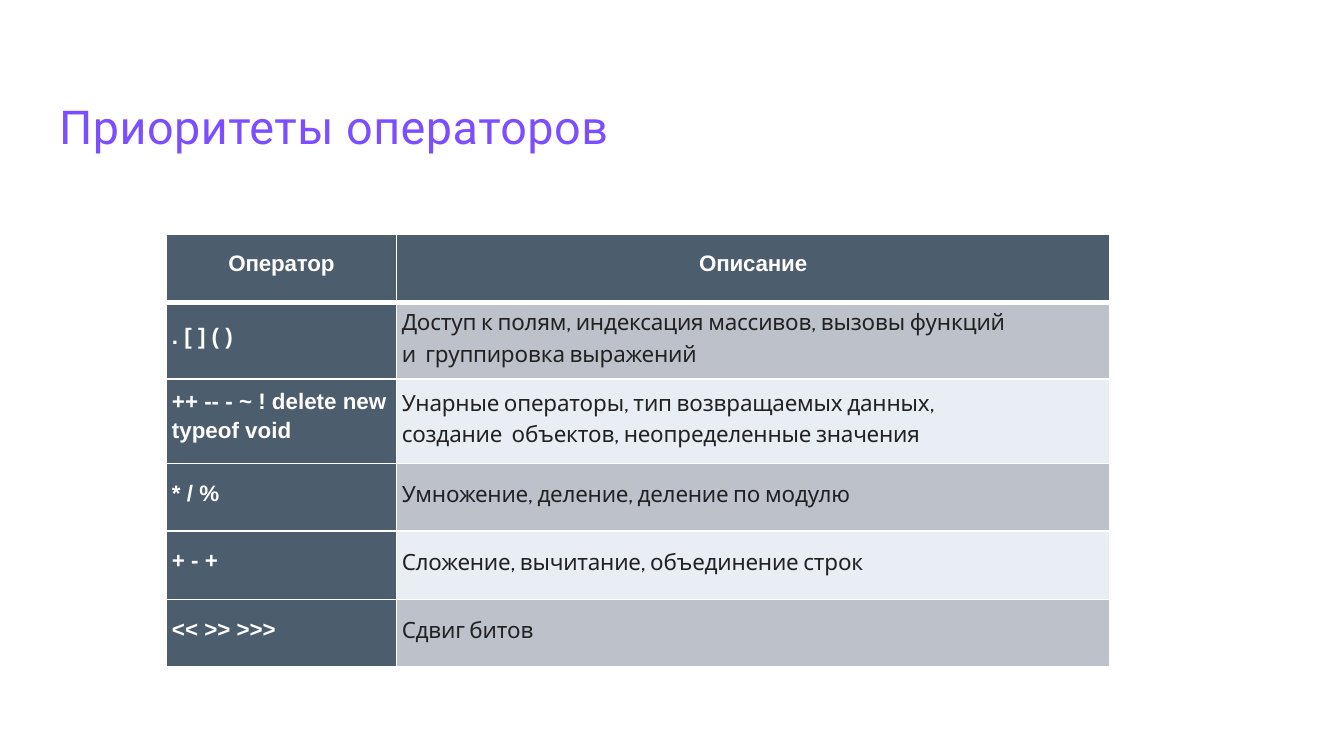
from lxml.etree import SubElement
from pptx import Presentation
from pptx.dml.color import RGBColor
from pptx.enum.text import MSO_ANCHOR, PP_ALIGN
from pptx.oxml.ns import qn
from pptx.util import Inches, Pt

PURPLE = RGBColor(0x7B, 0x4E, 0xFF)
SLATE = RGBColor(0x4C, 0x5D, 0x6E)
GREY = RGBColor(0xBD, 0xC1, 0xCA)
PALE = RGBColor(0xE9, 0xED, 0xF4)
INK = RGBColor(0x22, 0x22, 0x22)
WHITE = RGBColor(0xFF, 0xFF, 0xFF)

TITLE = "Приоритеты операторов"
HEADER = ("Оператор", "Описание")
OPERATORS = [
    (". [ ] ( )", "Доступ к полям, индексация массивов, вызовы функций и  группировка выражений"),
    ("++ -- - ~ ! delete new  typeof void",
     "Унарные операторы, тип возвращаемых данных, создание  объектов, неопределенные значения"),
    ("* / %", "Умножение, деление, деление по модулю"),
    ("+ - +", "Сложение, вычитание, объединение строк"),
    ("<< >> >>>", "Сдвиг битов"),
]
COL_WIDTHS = (0.62, 1.71, 5.31)
ROW_HEIGHTS = (0.51, 0.57, 0.63, 0.5, 0.51, 0.5, 0.65)
TOP_INSETS = [(0.13, 0.13), (0.16, 0.02), (0.05, 0.05)] + [(0.13, 0.13)] * 3
WRAP_INSET = 0.73

TITLE_FONT = {"name": "Roboto", "size": Pt(25), "bold": False}
BOLD_FONT = {"name": "Arial", "size": Pt(12), "bold": True}
TEXT_FONT = {"name": "Cabin", "size": Pt(12), "bold": False}


def write(tf, text, font, color, align, spacing, line=1.0):
    """Write one formatted paragraph with letter spacing in points."""
    p = tf.paragraphs[0]
    p.alignment, p.line_spacing = align, line
    r = p.add_run()
    r.text = text
    for name, value in font.items():
        setattr(r.font, name, value)
    r.font.color.rgb = color
    r.font._element.set("spc", str(round(spacing * 100)))


def add_borders(cell, top, bottom):
    """Draw white cell borders, with top and bottom widths in points."""
    tc_pr = cell._tc.get_or_add_tcPr()
    for i, (side, width) in enumerate((("L", 1), ("R", 1), ("T", top), ("B", bottom))):
        ln = SubElement(tc_pr, qn(f"a:ln{side}"), w=str(Pt(width)))
        fill = SubElement(ln, qn("a:solidFill"))
        SubElement(fill, qn("a:srgbClr"), val=str(WHITE))
        tc_pr.insert(i, ln)


def set_insets(cell, left=0, top=0, right=0):
    """Set cell insets in inches."""
    cell.margin_left, cell.margin_top = Inches(left), Inches(top)
    cell.margin_right, cell.margin_bottom = Inches(right), 0


def add_title(s):
    """Place and format the title."""
    sp = s.shapes.title
    sp.left, sp.top, sp.width, sp.height = map(Inches, (0.42, 0.72, 9.09, 1.47))
    tf = sp.text_frame
    tf.margin_right = tf.margin_bottom = 0
    tf.margin_left, tf.margin_top = Inches(0.02), Inches(0.01)
    tf.vertical_anchor, tf.word_wrap = MSO_ANCHOR.TOP, True
    write(tf, TITLE, TITLE_FONT, PURPLE, PP_ALIGN.LEFT, 0.3)


def add_operators(s):
    """Add the operator table with its blank left and bottom margins."""
    rows, cols = len(ROW_HEIGHTS), len(COL_WIDTHS)
    box = map(Inches, (0.62, 1.74, sum(COL_WIDTHS), sum(ROW_HEIGHTS)))
    table = s.shapes.add_table(rows, cols, *box).table
    table.first_row = table.horz_banding = False
    for col, width in zip(table.columns, COL_WIDTHS):
        col.width = Inches(width)
    for row, height in zip(table.rows, ROW_HEIGHTS):
        row.height = Inches(height)
    for cell in table.iter_cells():
        cell.fill.background()
        add_borders(cell, 1, 1)
        set_insets(cell)
    table.cell(0, 0).merge(table.cell(rows - 2, 0))
    table.cell(rows - 1, 1).merge(table.cell(rows - 1, 2))

    for i, texts in enumerate([HEADER] + OPERATORS):
        for j, text in enumerate(texts):
            cell = table.cell(i, j + 1)
            head, plain = i == 0, i > 0 and j == 1
            wraps = i in (1, 2)
            cell.fill.solid()
            cell.fill.fore_color.rgb = (GREY if i % 2 else PALE) if plain else SLATE
            for ln in cell._tc.tcPr.findall(qn("a:lnB" if head else "a:lnT")):
                ln.set("w", str(Pt(3 if i < 2 else 1)))
            set_insets(cell, 0 if head else 0.04, TOP_INSETS[i][j],
                       WRAP_INSET if plain and wraps else 0)
            write(cell.text_frame, text, TEXT_FONT if plain else BOLD_FONT,
                  INK if plain else WHITE, PP_ALIGN.CENTER if head else PP_ALIGN.LEFT,
                  -0.1 if plain or head else 0, 1.15 if i == 2 or plain and wraps else 1.0)


def main():
    """Build the operator precedence slide."""
    prs = Presentation()
    prs.slide_width = Inches(10)
    prs.slide_height = prs.slide_width * 9 // 16
    s = prs.slides.add_slide(prs.slide_layouts[5])
    add_title(s)
    add_operators(s)
    prs.save("out.pptx")


if __name__ == "__main__":
    main()
